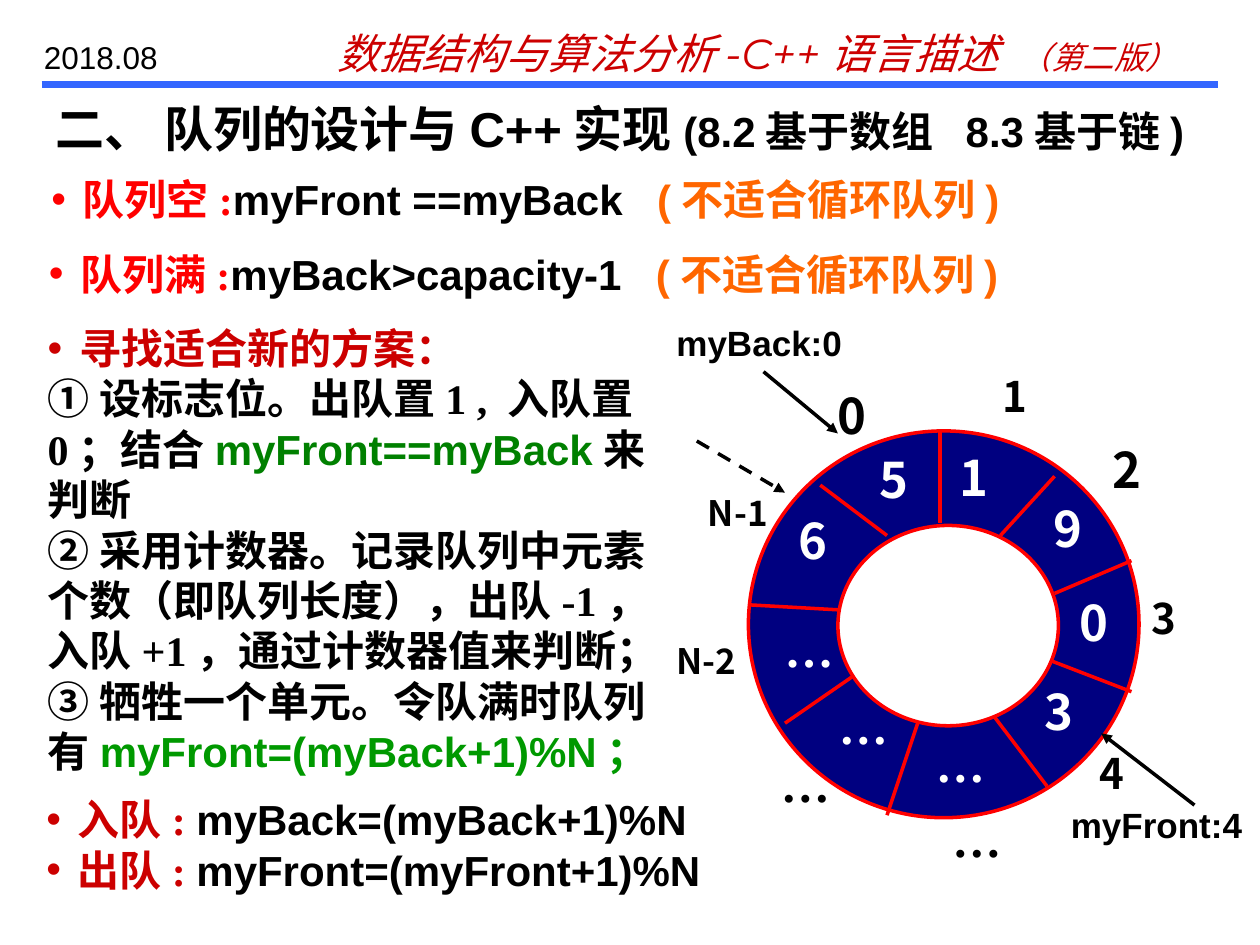
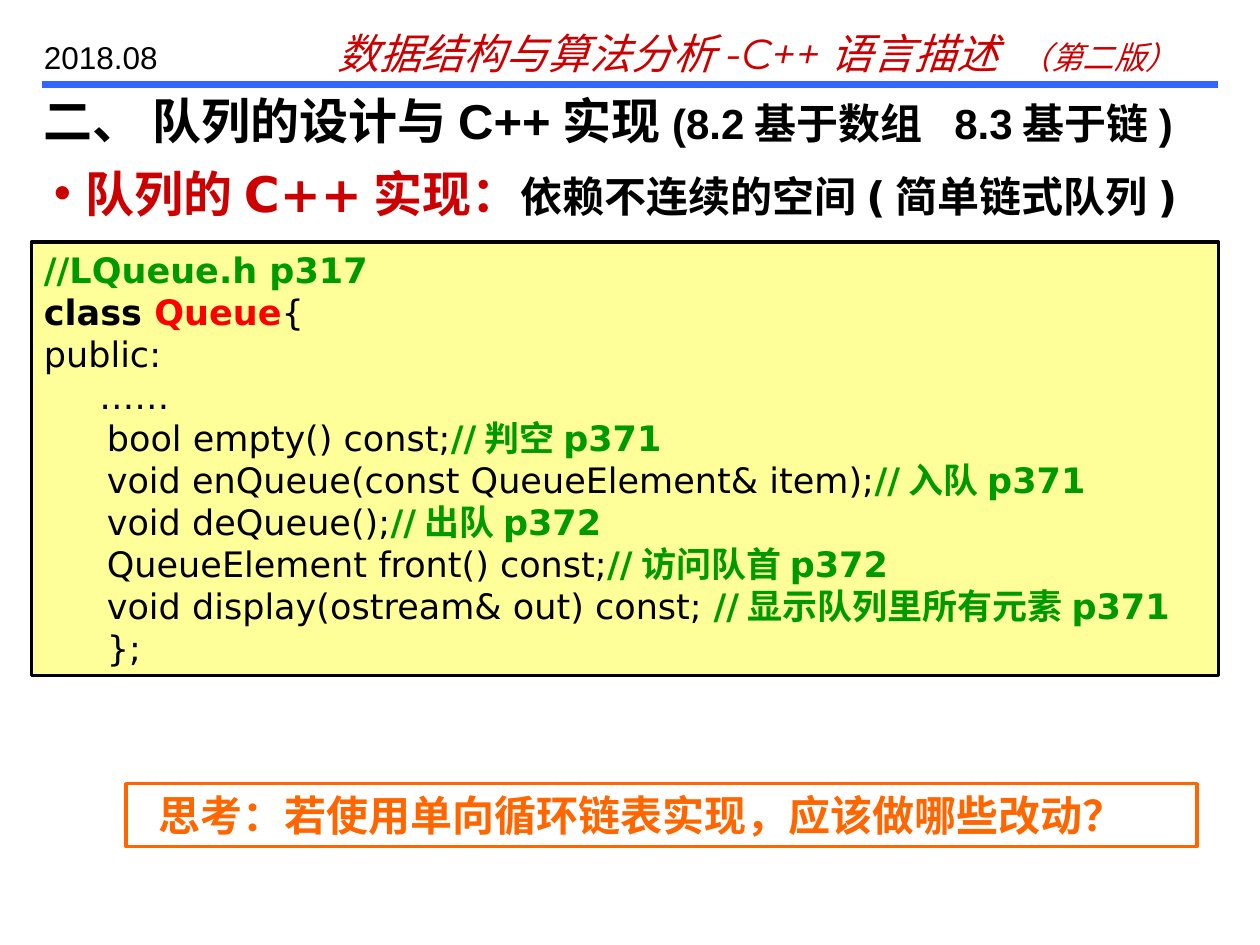
from dataclasses import dataclass

from lxml import etree
from pptx import Presentation, util as u
from pptx.dml.color import RGBColor
from pptx.enum import dml, shapes, text
from pptx.oxml import ns


@dataclass(frozen=True)
class Theme:
    black: str = "000000"
    white: str = "FFFFFF"
    red: str = "FF0000"
    crimson: str = "CC0000"
    orange: str = "FF6600"
    green: str = "009900"
    dark_green: str = "008000"
    navy: str = "000080"
    blue: str = "3366FF"
    yellow: str = "FFFF99"
    title: int = 28
    body: int = 24
    code: int = 20
    small: int = 18
    sans: str = "Arial"
    serif: str = "Times New Roman"
    mono: str = "DejaVu Sans"
    cjk: str = "Noto Sans CJK SC"
    header: str = "Montserrat"


T = Theme()
BULLET_INDENT = 0.25


def write(sp, *paragraphs):
    """Fill a shape with (runs, indent, bullet colour) paragraphs.

    A run is (text, size, font, colour, style letters, letter spacing);
    the last two may be left out, and text is then bold.
    """
    tf = sp.text_frame
    tf.word_wrap = True
    tf.vertical_anchor = text.MSO_ANCHOR.TOP
    for i, (runs, indent, bullet) in enumerate(paragraphs):
        p = tf.paragraphs[0] if i == 0 else tf.add_paragraph()
        p.alignment = text.PP_ALIGN.LEFT
        p.line_spacing = u.Pt(1.2 * max(run[1] for run in runs))
        pPr = p._p.get_or_add_pPr()
        pPr.set("marL", str(u.Inches(indent)))
        pPr.set("indent", str(-u.Inches(indent) if bullet else 0))
        if bullet:
            colour = etree.SubElement(pPr, ns.qn("a:buClr"))
            etree.SubElement(colour, ns.qn("a:srgbClr"), val=bullet)
            etree.SubElement(pPr, ns.qn("a:buFont"), typeface=T.sans)
            etree.SubElement(pPr, ns.qn("a:buChar"), char="•")
        for words, size, font, colour, *extra in runs:
            style = extra[0] if extra else "b"
            r = p.add_run()
            r.text = words
            r.font.size = u.Pt(size)
            r.font.bold = "b" in style
            r.font.italic = "i" in style
            r.font.color.rgb = RGBColor.from_string(colour)
            r.font.name = font
            rPr = r._r.get_or_add_rPr()
            if words.strip("…"):
                etree.SubElement(rPr, ns.qn("a:ea"), typeface=T.cjk)
            if len(extra) > 1:
                rPr.set("spc", str(extra[1] * 100))


def connect(s, ends, colour, width=2, arrow=False):
    line = s.shapes.add_connector(shapes.MSO_CONNECTOR.STRAIGHT, *map(u.Inches, ends))
    line.line.color.rgb = RGBColor.from_string(colour)
    line.line.width = u.Pt(width)
    etree.SubElement(line._element.spPr, ns.qn("a:effectLst"))
    if arrow:
        etree.SubElement(line.line._get_or_add_ln(), ns.qn("a:tailEnd"), type="triangle")
    return line


prs = Presentation()
prs.slide_width, prs.slide_height = u.Inches(10), u.Inches(7.5)

# Header and title on both slides
slides = []
for title_box in [(0.34, 0.73, 9.33, 0.57), (0.25, 0.67, 9.75, 0.5)]:
    s = prs.slides.add_slide(prs.slide_layouts[6])
    slides.append(s)
    connect(s, (0.33, 0.67, 9.67, 0.67), T.blue, 4)
    for box, runs in [
        ((2.58, 0.17, 7, 0.5), [
            ("数据结构与算法分析-C++语言描述", T.body, T.header, T.crimson, "i"),
            (" ", T.body, T.header, T.crimson, "i", 7),
            ("（第二版）", T.small, T.header, T.crimson, "i")]),
        ((0.25, 0.25, 1.42, 0.4), [("2018.08", T.small, T.sans, T.black, "")]),
        (title_box, [
            ("二、 队列的设计与C++实现", T.title, T.sans, T.black),
            ("(8.2基于数组", T.body, T.sans, T.black),
            (" ", T.body, T.sans, T.black, "b", 7),
            ("8.3基于链)", T.body, T.sans, T.black)]),
    ]:
        write(s.shapes.add_textbox(*map(u.Inches, box)), (runs, 0, None))

# Slide 1: circular queue
s = slides[0]
sectors = [
    (7.46, 4.15, 7.46, 3.42), (6.78, 5.36, 6.23, 5.74), (8.33, 5.24, 8.98, 5.49),
    (6.51, 3.85, 7.04, 4.25), (5.94, 4.8, 6.65, 4.84), (7.29, 5.72, 7.04, 6.47),
    (7.87, 5.66, 8.31, 6.24), (7.94, 4.25, 8.37, 3.78), (8.37, 4.71, 8.98, 4.45),
]
for box, fill, lines in [
    ((5.94, 3.42, 3.1, 3.07), T.navy, sectors),
    ((6.65, 4.17, 1.75, 1.59), T.white, []),
]:
    ring = s.shapes.add_shape(shapes.MSO_SHAPE.OVAL, *map(u.Inches, box))
    ring.shadow.inherit = False
    ring.fill.solid()
    ring.fill.fore_color.rgb = RGBColor.from_string(fill)
    ring.line.color.rgb = RGBColor.from_string(T.red)
    ring.line.width = u.Pt(2)
    for ends in lines:
        connect(s, ends, T.red)

cells = [
    ("5", 6.88, 3.52), ("1", 7.52, 3.5), ("9", 8.26, 3.91), ("0", 8.47, 4.65),
    ("3", 8.19, 5.36), ("…", 7.33, 5.77), ("…", 6.56, 5.47), ("…", 6.13, 4.86),
    ("6", 6.24, 4),
]
indexes = [
    ("0", 6.55, 3.01, T.title), ("1", 7.86, 2.89, T.body), ("2", 8.73, 3.44, T.title),
    ("3", 9.04, 4.65, T.body), ("4", 8.63, 5.88, T.body), ("…", 7.46, 6.37, T.title),
    ("…", 6.1, 5.93, T.title), ("N-2", 5.27, 5.03, T.code), ("N-1", 5.52, 3.85, T.code),
]
labels = [(*cell, T.title, T.white) for cell in cells]
labels += [(*index, T.black) for index in indexes]
for label, x, y, size, colour in labels:
    width = 0.93 if label.startswith("N") else 0.53
    font = T.serif if label == "…" else T.cjk
    sp = s.shapes.add_textbox(*map(u.Inches, (x, y, width, size / 60 + 0.1)))
    write(sp, ([(label, size, font, colour)], 0, None))

for pointer, x, y in [("myFront:4", 8.4, 6.33), ("myBack:0", 5.27, 2.5)]:
    sp = s.shapes.add_textbox(*map(u.Inches, (x, y, 1.6, 0.44)))
    write(sp, ([(pointer, T.code, T.sans, T.black)], 0, None))
connect(s, (9.48, 6.39, 8.74, 5.82), T.black, arrow=True)
connect(s, (6.06, 2.95, 6.65, 3.44), T.black, arrow=True)
old_back = connect(s, (5.53, 3.5, 6.23, 3.91), T.black, arrow=True)
old_back.line.dash_style = dml.MSO_LINE.DASH

schemes = s.shapes.add_textbox(*map(u.Inches, (0.28, 2.51, 5.22, 3.3)))
write(
    schemes,
    ([("寻找适合新的方案：", T.body, T.serif, T.crimson)], BULLET_INDENT, T.crimson),
    ([("① 设标志位。出队置1 , 入队置0；结合", T.body, T.serif, T.black),
      ("myFront==myBack", T.body, T.sans, T.dark_green),
      ("来判断", T.body, T.serif, T.black)], 0, None),
    ([("② 采用计数器。记录队列中元素个数（即队列长度），出队-1，入队+1，通过计数器值来判断；",
       T.body, T.serif, T.black)], 0, None),
    ([("③ ", T.body, T.serif, T.black),
      ("牺牲一个单元。令队满时队列有", T.body, T.sans, T.black),
      ("myFront=(myBack+1)%N；", T.body, T.sans, T.green)], 0, None),
)

for x, y, state, test in [
    (0.31, 1.33, "队列空:", "myFront ==myBack"),
    (0.29, 1.92, "队列满:", "myBack>capacity-1"),
]:
    sp = s.shapes.add_textbox(*map(u.Inches, (x, y, 9.2, 0.5)))
    write(sp, ([
        (state, T.body, T.serif, T.red),
        (test, T.body, T.sans, T.black),
        (" ", T.body, T.sans, T.black, "b", 13),
        ("(不适合循环队列)", T.body, T.sans, T.orange)], BULLET_INDENT, T.red))

moves = s.shapes.add_textbox(*map(u.Inches, (0.27, 6.25, 5.6, 0.9)))
write(moves, *[
    ([(move, T.body, T.serif, T.crimson), (rule, T.body, T.sans, T.black)],
     BULLET_INDENT, T.crimson)
    for move, rule in [("入队: ", "myBack=(myBack+1)%N"), ("出队: ", "myFront=(myFront+1)%N")]
])

# Slide 2: linked queue class
s = slides[1]
subtitle = s.shapes.add_textbox(*map(u.Inches, (0.33, 1.25, 9.67, 0.57)))
write(subtitle, ([
    ("队列的C++实现：", T.title, T.mono, T.crimson),
    ("依赖不连续的空间(简单链式队列)", T.body, T.mono, T.black)], BULLET_INDENT, T.crimson))

members = [
    ("bool empty() const;", "//判空p371"),
    ("void enQueue(const QueueElement& item);", "//入队p371"),
    ("void deQueue();", "//出队p372"),
    ("QueueElement front() const;", "//访问队首p372"),
    ("void display(ostream& out) const; ", "//显示队列里所有元素p371"),
]
code = [
    ([("//LQueue.h p317", T.code, T.mono, T.green)], 0, None),
    ([("class ", T.code, T.mono, T.black),
      ("Queue", T.code, T.mono, T.red),
      ("{", T.code, T.mono, T.black, "")], 0, None),
    ([("public:", T.code, T.mono, T.black, "")], 0, None),
    ([("……", T.code, T.mono, T.black, "")], 0.44, None),
]
code += [
    ([(member, T.code, T.mono, T.black, ""), (note, T.code, T.mono, T.green)], 0.5, None)
    for member, note in members
]
code.append(([("};", T.code, T.mono, T.black, "")], 0.5, None))
question = [([("思考：若使用单向循环链表实现，应该做哪些改动？", T.body, T.cjk, T.orange)], 0.16, None)]

for box, fill, border, paragraphs in [
    ((0.25, 1.92, 9.42, 3.44), T.yellow, T.black, code),
    ((1, 6.22, 8.5, 0.5), None, T.orange, question),
]:
    sp = s.shapes.add_shape(shapes.MSO_SHAPE.RECTANGLE, *map(u.Inches, box))
    sp.shadow.inherit = False
    if fill:
        sp.fill.solid()
        sp.fill.fore_color.rgb = RGBColor.from_string(fill)
    else:
        sp.fill.background()
    sp.line.color.rgb = RGBColor.from_string(border)
    sp.line.width = u.Pt(2)
    write(sp, *paragraphs)

prs.save("out.pptx")
